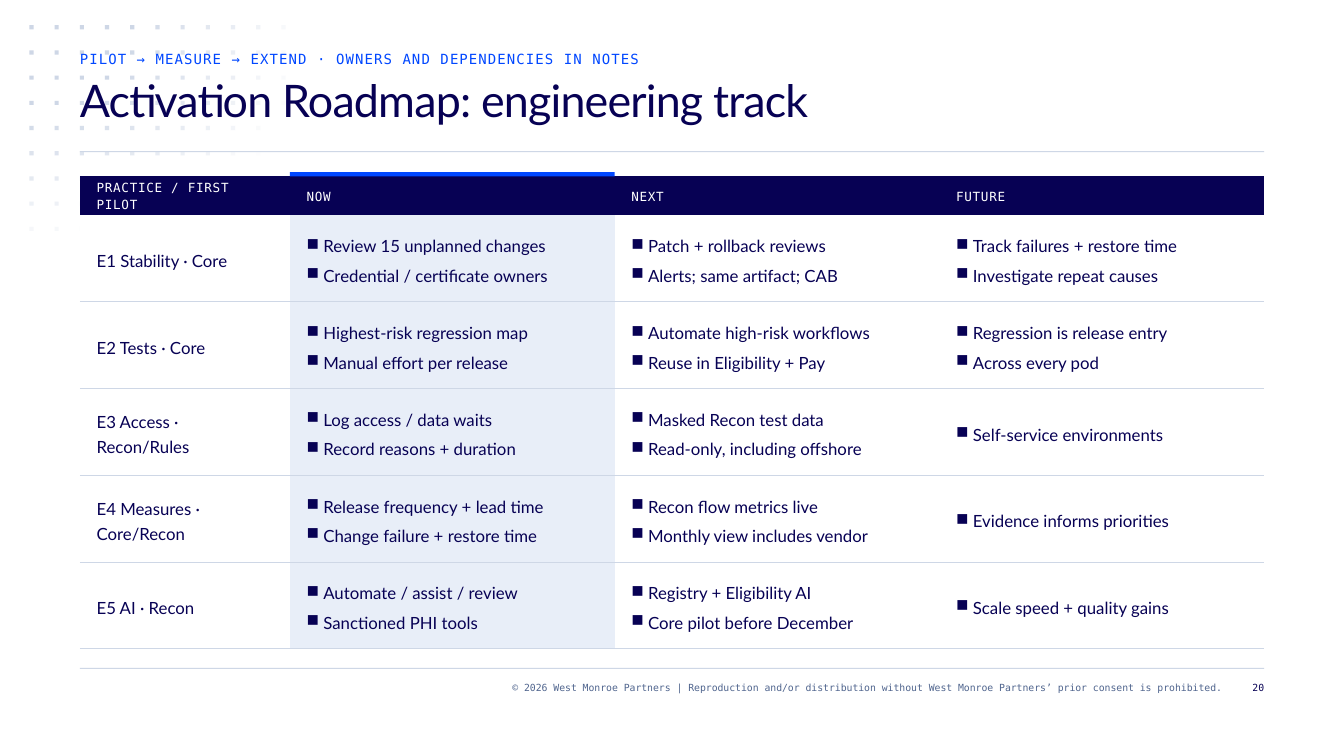
import math

import pptx
import pptx.dml.color
import pptx.enum.shapes
import pptx.enum.text
import pptx.oxml
import pptx.oxml.ns
import pptx.util

PX = 9525  # EMU per px, 96 px to the inch
COLORS = {
    "navy": "070154",
    "blue": "0047FF",
    "tint": "E8EEF8",
    "rule": "CED7E6",
    "slate": "50658E",
    "white": "FFFFFF",
}
MONO, SANS = "DejaVu Sans Mono", "Lato"
ALIGN = pptx.enum.text.PP_ALIGN
ANCHOR = pptx.enum.text.MSO_ANCHOR

HEADINGS = ["PRACTICE / FIRST PILOT", "NOW", "NEXT", "FUTURE"]
PRACTICES = [
    ("E1 Stability · Core",
     ["Review 15 unplanned changes", "Credential / certificate owners"],
     ["Patch + rollback reviews", "Alerts; same artifact; CAB"],
     ["Track failures + restore time", "Investigate repeat causes"]),
    ("E2 Tests · Core",
     ["Highest-risk regression map", "Manual effort per release"],
     ["Automate high-risk workflows", "Reuse in Eligibility + Pay"],
     ["Regression is release entry", "Across every pod"]),
    ("E3 Access · Recon/Rules",
     ["Log access / data waits", "Record reasons + duration"],
     ["Masked Recon test data", "Read-only, including offshore"],
     ["Self-service environments"]),
    ("E4 Measures · Core/Recon",
     ["Release frequency + lead time", "Change failure + restore time"],
     ["Recon flow metrics live", "Monthly view includes vendor"],
     ["Evidence informs priorities"]),
    ("E5 AI · Recon",
     ["Automate / assist / review", "Sanctioned PHI tools"],
     ["Registry + Eligibility AI", "Core pilot before December"],
     ["Scale speed + quality gains"]),
]


def px(length):
    return pptx.util.Emu(round(length * PX))


def rgb(name):
    return pptx.dml.color.RGBColor.from_string(COLORS[name])


def xml(markup):
    namespace = pptx.oxml.ns.nsdecls("a")
    return pptx.oxml.parse_xml(markup.replace(" NS", " " + namespace, 1))


def write_text(frame, lines, *, size, leading, color="navy", font=SANS,
               tracking=0, align=ALIGN.LEFT, bullet=False, gap=0):
    frame.word_wrap = True
    for index, line in enumerate(lines):
        paragraph = frame.add_paragraph() if index else frame.paragraphs[0]
        if bullet:
            properties = paragraph._p.get_or_add_pPr()
            properties.set("marL", str(px(16)))
            properties.set("indent", str(-px(16)))
            properties.append(xml('<a:buChar NS char="■"/>'))
        paragraph.alignment = align
        paragraph.line_spacing = pptx.util.Pt(leading)
        paragraph.space_before = pptx.util.Pt(0)
        paragraph.space_after = pptx.util.Pt(gap if index < len(lines) - 1 else 0)
        run = paragraph.add_run()
        run.text = line
        run.font.size = pptx.util.Pt(size)
        run.font.name = font
        run.font.color.rgb = rgb(color)
        run._r.get_or_add_rPr().set("spc", str(round(tracking * 100)))


def place_text(shape, left, top, width, height, text, **text_format):
    shape.left, shape.top = px(left), px(top)
    shape.width, shape.height = px(width), px(height)
    frame = shape.text_frame
    frame.auto_size = pptx.enum.text.MSO_AUTO_SIZE.NONE
    frame.margin_left = frame.margin_top = frame.margin_right = frame.margin_bottom = 0
    frame.vertical_anchor = ANCHOR.TOP
    write_text(frame, [text], **text_format)


def add_text(slide, left, top, width, height, text, **text_format):
    shape = slide.shapes.add_textbox(0, 0, 0, 0)
    place_text(shape, left, top, width, height, text, **text_format)


def add_block(slide, left, top, width, height, color, opacity=100):
    shape = slide.shapes.add_shape(
        pptx.enum.shapes.MSO_SHAPE.RECTANGLE, px(left), px(top), px(width), px(height))
    shape.shadow.inherit = False
    shape.line.fill.background()
    shape.fill.solid()
    shape.fill.fore_color.rgb = rgb(color)
    if opacity < 100:
        tone = shape.fill._xPr.find(".//" + pptx.oxml.ns.qn("a:srgbClr"))
        tone.append(xml(f'<a:alpha NS val="{opacity * 1000}"/>'))


def add_dot_field(slide, left, top, pitch, dot):
    # Opacity falls off along an ellipse centred on the first dot
    for column in range(11):
        for row in range(9):
            distance = math.hypot(column / 11.1, row / 9.07)
            opacity = min(100, round(153 * (1 - distance)))
            if opacity >= 2:
                add_block(slide, left + column * pitch, top + row * pitch,
                          dot, dot, "rule", opacity)


def add_header(slide, left, top, width):
    add_text(slide, left, top, width, 16,
             "PILOT → MEASURE → EXTEND · OWNERS AND DEPENDENCIES IN NOTES",
             size=10, leading=12, color="blue", font=MONO, tracking=0.8)
    title = slide.shapes.title
    slide.shapes._spTree.append(title._element)  # in front of the dots
    place_text(title, left, top + 24, width, 72, "Activation Roadmap: engineering track",
               size=32, leading=36, tracking=-0.6)
    add_block(slide, left, top + 96, width, 1, "rule")


def set_borders(cell, top, bottom):
    line = f'<a:solidFill><a:srgbClr val="{COLORS["rule"]}"/></a:solidFill>'
    sides = {"lnL": False, "lnR": False, "lnT": top, "lnB": bottom}
    properties = cell._tc.get_or_add_tcPr()
    for index, (side, visible) in enumerate(sides.items()):
        fill = line if visible else "<a:noFill/>"
        properties.insert(index, xml(f'<a:{side} NS w="9525">{fill}</a:{side}>'))


def fill_cell(cell, lines, background, **text_format):
    cell.margin_left = cell.margin_right = px(16)
    cell.margin_top = cell.margin_bottom = 0
    cell.vertical_anchor = ANCHOR.MIDDLE
    cell.fill.solid()
    cell.fill.fore_color.rgb = rgb(background)
    write_text(cell.text_frame, lines, **text_format)


def add_roadmap(slide, left, top, width, height):
    label_width, heading_height = 200, 37
    phase_width = (width - label_width) / 3
    row_height = (height - heading_height) / len(PRACTICES)
    table = slide.shapes.add_table(len(PRACTICES) + 1, len(HEADINGS), px(left), px(top),
                                   px(width), px(height)).table
    table.first_row = table.horz_banding = False
    for index, column in enumerate(table.columns):
        column.width = px(phase_width if index else label_width)
    for index, row in enumerate(table.rows):
        row.height = px(row_height if index else heading_height)

    # Heading row
    for index, heading in enumerate(HEADINGS):
        cell = table.cell(0, index)
        fill_cell(cell, [heading], "navy", size=9, leading=12, color="white",
                  font=MONO, tracking=0.5)
        set_borders(cell, top=False, bottom=False)

    # Practice rows
    for row, (practice, *phases) in enumerate(PRACTICES, start=1):
        for column, lines in enumerate([[practice], *phases]):
            cell = table.cell(row, column)
            fill_cell(cell, lines, "tint" if column == 1 else "white", size=12,
                      leading=18, bullet=column > 0, gap=3)
            set_borders(cell, top=row > 1, bottom=True)

    # Marker above the current phase
    add_block(slide, left + label_width, top - 4, phase_width, 4, "blue")


def add_footer(slide, left, top, width):
    small_print = {"size": 7, "leading": 9, "font": MONO, "align": ALIGN.RIGHT}
    add_block(slide, left, top, width, 1, "rule")
    add_text(slide, left + 152, top + 12, width - 192, 24,
             "© 2026 West Monroe Partners | Reproduction and/or distribution without "
             "West Monroe Partners’ prior consent is prohibited.",
             color="slate", **small_print)
    add_text(slide, left + width - 32, top + 12, 32, 24, "20", **small_print)


def main():
    presentation = pptx.Presentation()
    presentation.slide_width, presentation.slide_height = px(1280), px(720)
    slide = presentation.slides.add_slide(presentation.slide_layouts[5])
    add_dot_field(slide, 28, 24, pitch=24, dot=4)
    add_header(slide, 76, 48, 1128)
    add_roadmap(slide, 76, 168, 1128, 450)
    add_footer(slide, 76, 636, 1128)
    presentation.save("out.pptx")


if __name__ == "__main__":
    main()
